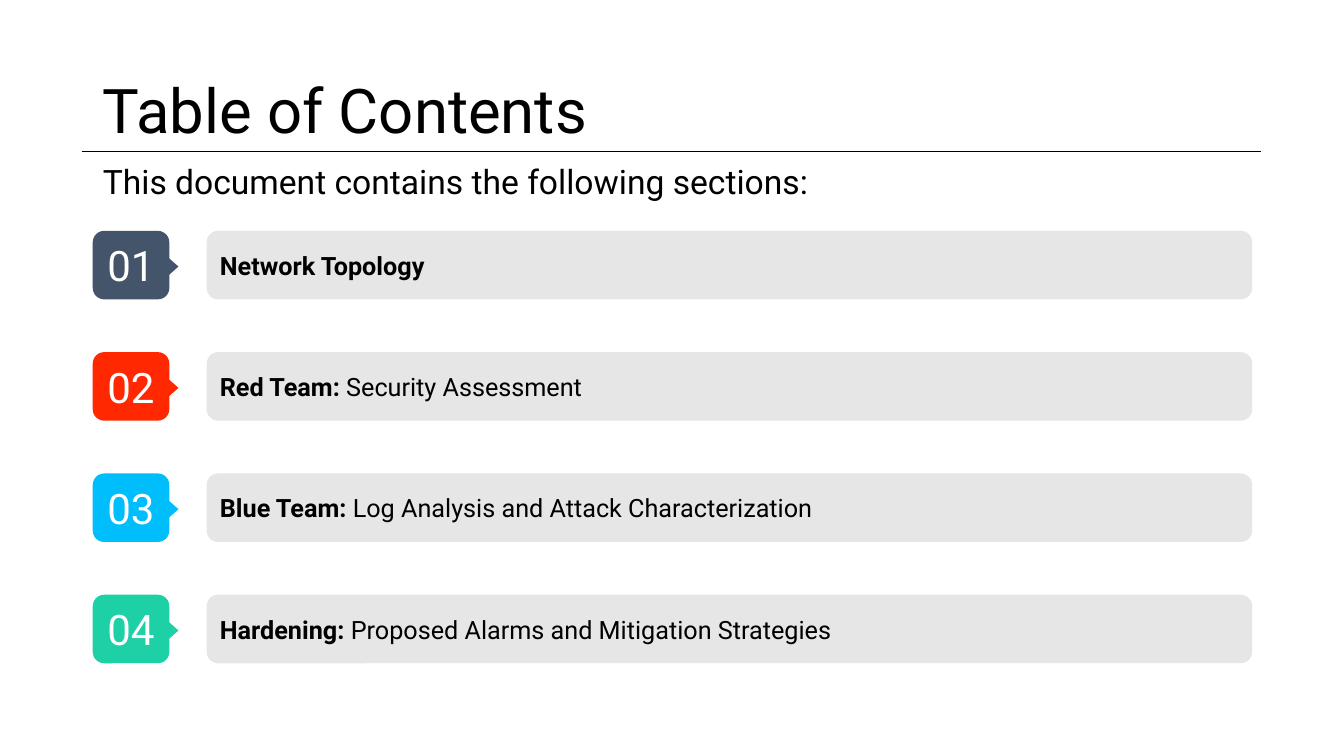
import dataclasses

import pptx
import pptx.dml.color
import pptx.enum.shapes
import pptx.enum.text
import pptx.oxml.ns
import pptx.util
from lxml import etree

Inches = pptx.util.Inches
Pt = pptx.util.Pt
Preset = pptx.enum.shapes.MSO_SHAPE
Anchor = pptx.enum.text.MSO_ANCHOR
Align = pptx.enum.text.PP_ALIGN


@dataclasses.dataclass(frozen=True)
class Theme:
    font: str = "Roboto"
    ink: str = "000000"
    number_ink: str = "FFFFFF"
    bar: str = "E7E6E6"
    title_size: int = 44
    intro_size: int = 24
    number_size: int = 30
    section_size: int = 18
    rule_width: float = 0.75
    corner: float = 0.167


SECTIONS = [
    ("44546A", "Network Topology", ""),
    ("FF2800", "Red Team: ", "Security Assessment"),
    ("00BDFB", "Blue Team: ", "Log Analysis and Attack Characterization"),
    ("1ED0A6", "Hardening: ", "Proposed Alarms and Mitigation Strategies"),
]
FIRST_TOP, LAST_TOP = 2.29, 5.9
PITCH = (LAST_TOP - FIRST_TOP) / (len(SECTIONS) - 1)
ROW_HEIGHT = 0.68


def rgb(code):
    return pptx.dml.color.RGBColor.from_string(code)


def add_text(paragraph, text, *, font, size, color, bold=False):
    run = paragraph.add_run()
    run.text = text
    run.font.name = font
    run.font.size = Pt(size)
    run.font.color.rgb = rgb(color)
    run.font.bold = bold


class ContentsSlide:
    def __init__(self, presentation, theme):
        self.theme = theme
        self.slide = presentation.slides.add_slide(presentation.slide_layouts[1])

    def placeholder(self, index, text, box, size, anchor, space_before):
        holder = self.slide.placeholders[index]
        holder.left, holder.top, holder.width, holder.height = map(Inches, box)
        frame = holder.text_frame
        frame.auto_size = pptx.enum.text.MSO_AUTO_SIZE.NONE
        frame.word_wrap = True
        frame.vertical_anchor = anchor
        paragraph = frame.paragraphs[0]
        paragraph.alignment = Align.LEFT
        paragraph.line_spacing = 0.9
        paragraph.space_before = Pt(space_before)
        add_text(paragraph, text, font=self.theme.font, size=size, color=self.theme.ink)
        properties = paragraph._p.get_or_add_pPr()
        properties.set("marL", "0")
        properties.set("indent", "0")
        etree.SubElement(properties, pptx.oxml.ns.qn("a:buNone"))

    def rule(self, left, right, top):
        line = self.slide.shapes.add_connector(
            pptx.enum.shapes.MSO_CONNECTOR.STRAIGHT,
            Inches(left), Inches(top), Inches(right), Inches(top))
        line.line.color.rgb = rgb(self.theme.ink)
        line.line.width = Pt(self.theme.rule_width)
        etree.SubElement(line._element.spPr, pptx.oxml.ns.qn("a:effectLst"))

    def block(self, shapes, preset, box, color):
        shape = shapes.add_shape(preset, *map(Inches, box))
        shape.shadow.inherit = False
        shape.fill.solid()
        shape.fill.fore_color.rgb = rgb(color)
        shape.line.fill.background()
        return shape

    def label_box(self, shapes, box, color, alignment):
        shape = self.block(shapes, Preset.ROUNDED_RECTANGLE, box, color)
        shape.adjustments[0] = self.theme.corner
        frame = shape.text_frame
        frame.word_wrap = True
        frame.vertical_anchor = Anchor.MIDDLE
        frame.margin_left = frame.margin_right = Inches(0.1)
        frame.margin_top = frame.margin_bottom = Inches(0.1)
        paragraph = frame.paragraphs[0]
        paragraph.alignment = alignment
        return paragraph

    def badge(self, number, top, color):
        shapes = self.slide.shapes.add_group_shape().shapes
        label = self.label_box(shapes, (0.92, top, 0.76, ROW_HEIGHT), color, Align.CENTER)
        add_text(label, f"{number:02}", font=self.theme.font,
                 size=self.theme.number_size, color=self.theme.number_ink)
        pointer = self.block(shapes, Preset.FLOWCHART_EXTRACT,
                             (1.48, top + 0.25, 0.37, 0.21), color)
        pointer.rotation = 90

    def bar(self, heading, detail, top):
        label = self.label_box(self.slide.shapes, (2.05, top, 10.37, ROW_HEIGHT),
                               self.theme.bar, Align.LEFT)
        style = dict(font=self.theme.font, size=self.theme.section_size, color=self.theme.ink)
        add_text(label, heading, bold=True, **style)
        if detail:
            add_text(label, detail, **style)


def main():
    presentation = pptx.Presentation()
    presentation.slide_width = Inches(13.33)
    presentation.slide_height = Inches(7.5)
    theme = Theme()
    contents = ContentsSlide(presentation, theme)
    contents.rule(0.81, 12.51, 1.5)
    contents.placeholder(0, "Table of Contents", (0.92, 0.4, 11.5, 1.45),
                         theme.title_size, Anchor.MIDDLE, 0)
    contents.placeholder(1, "This document contains the following sections:",
                         (0.92, 1.52, 11.5, 0.53), theme.intro_size, Anchor.BOTTOM, 10)
    for index, (color, heading, detail) in enumerate(SECTIONS):
        top = FIRST_TOP + index * PITCH
        contents.badge(index + 1, top, color)
        contents.bar(heading, detail, top)
    presentation.save("out.pptx")


if __name__ == "__main__":
    main()
